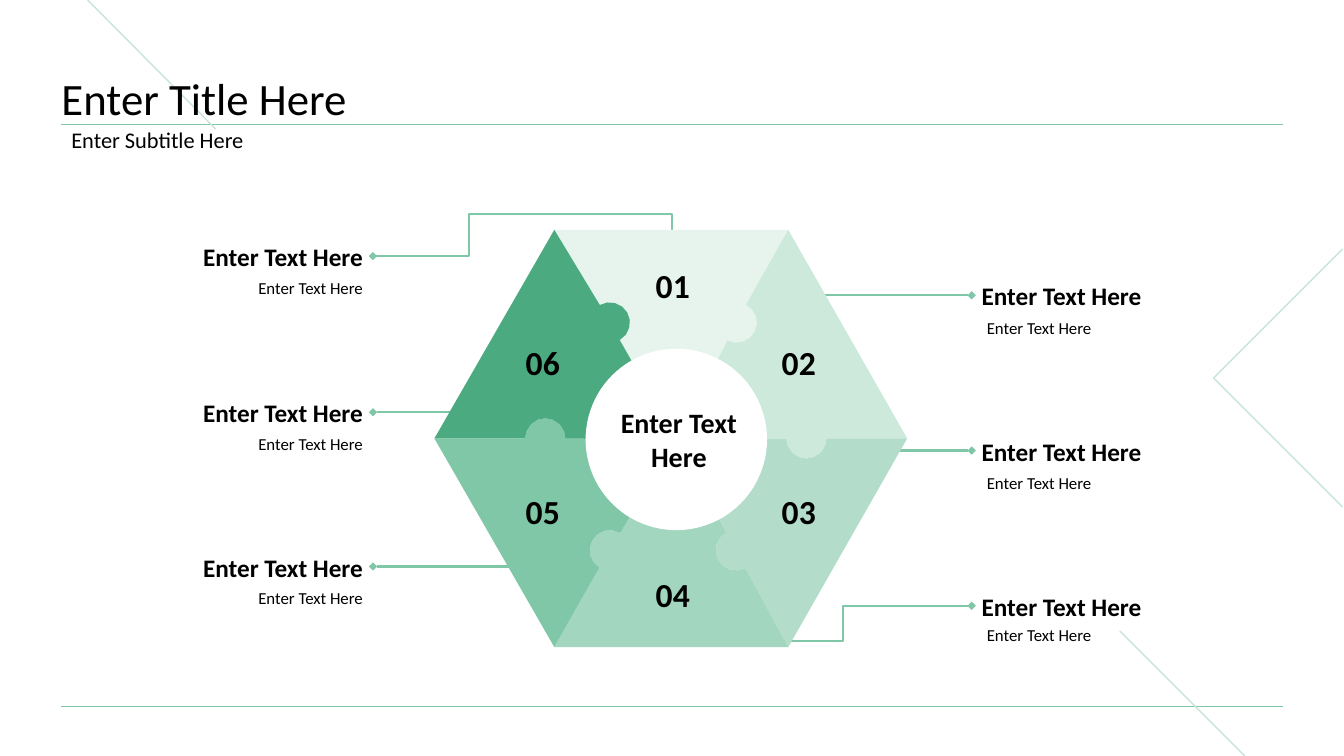
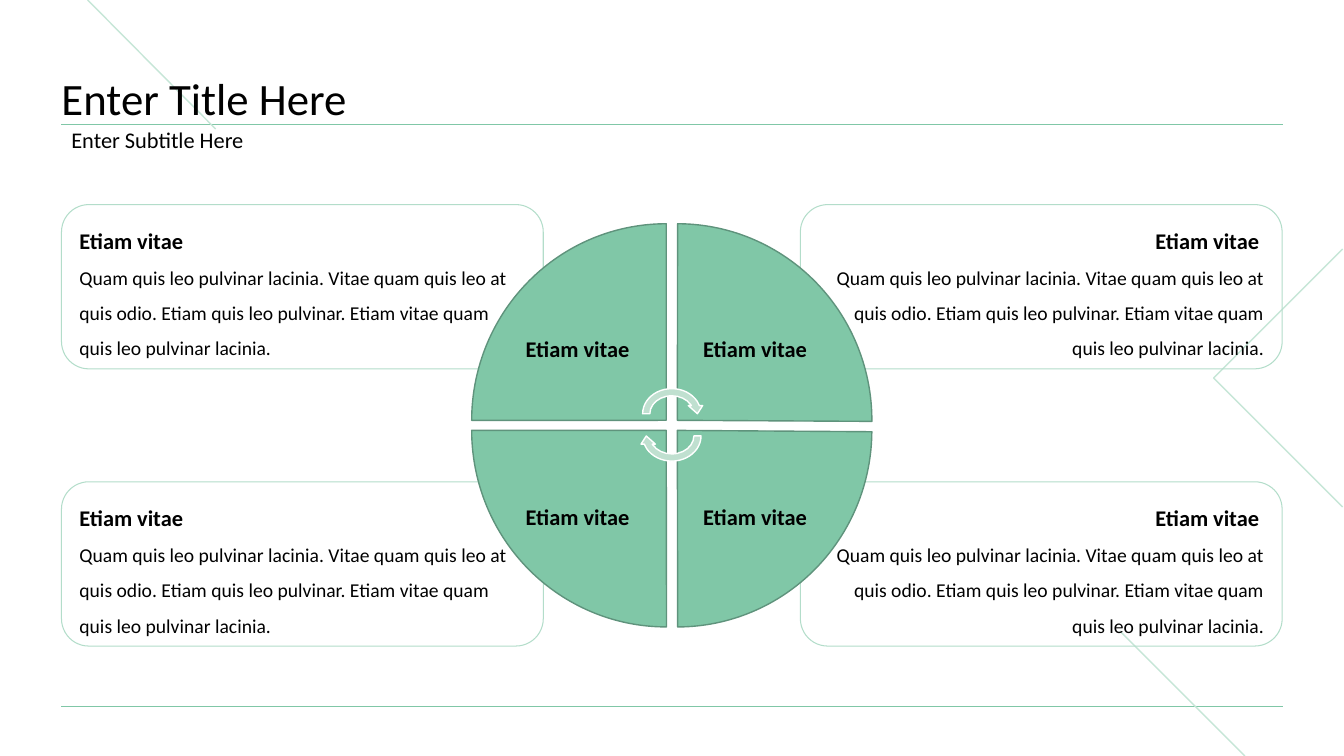
from dataclasses import dataclass
from math import atan2, cos, pi, sin

from lxml import etree
from pptx import Presentation
from pptx.dml.color import RGBColor
from pptx.enum.shapes import MSO_CONNECTOR, MSO_SHAPE
from pptx.enum.text import MSO_ANCHOR, MSO_AUTO_SIZE, PP_ALIGN
from pptx.oxml.ns import qn
from pptx.util import Inches, Pt

STRAIGHT, ELBOW = MSO_CONNECTOR.STRAIGHT, MSO_CONNECTOR.ELBOW
OVAL, ROUND_RECT = MSO_SHAPE.OVAL, MSO_SHAPE.ROUNDED_RECTANGLE
PIE, CIRCULAR_ARROW = MSO_SHAPE.PIE, MSO_SHAPE.CIRCULAR_ARROW
TOP, MIDDLE, BOTTOM = MSO_ANCHOR.TOP, MSO_ANCHOR.MIDDLE, MSO_ANCHOR.BOTTOM
LEFT, CENTER, RIGHT = PP_ALIGN.LEFT, PP_ALIGN.CENTER, PP_ALIGN.RIGHT

FONT = "Calibri"
COLORS = {
    "text": "000000",
    "white": "FFFFFF",
    "accent": "80C7A7",
    "decor": "C6E6D7",
    "card_line": "B3DDCA",
    "pie_line": "5F937C",
    "arrow": "C0E0D0",
}
TITLE, SUBTITLE, LABEL = "Enter Title Here", "Enter Subtitle Here", "Enter Text Here"
CARD_HEAD = "Etiam vitae"
CARD_BODY = ("Quam quis leo pulvinar lacinia. Vitae quam quis leo at quis odio. "
             "Etiam quis leo pulvinar. Etiam vitae quam quis leo pulvinar lacinia.")
MARGIN, CONTENT_W = 0.61, 12.12

Point = tuple[float, float]


@dataclass
class Piece:
    """Puzzle piece, from its first hexagon corner clockwise to the next one.

    The knob is the one on the seam at the first corner.
    """
    number: str
    color: str
    corner: Point
    knob: Point
    number_at: Point


@dataclass
class Callout:
    on_left: bool
    top: float
    body_top: float
    line_end: float | None = None


@dataclass
class BentLine:
    """Four-part connector, given by its box before rotation."""
    x: float
    y: float
    rotation: int
    flip: bool
    bends: Point


@dataclass
class Quarter:
    x: float
    y: float
    start: float
    end: float


PIECES = [
    Piece("01", "E6F4ED", (5.5, 2.28), (6.05, 3.2), (6.26, 2.66)),
    Piece("02", "CCE9DC", (7.82, 2.28), (7.31, 3.2), (7.51, 3.42)),
    Piece("03", "B3DDCA", (9, 4.35), (8, 4.35), (7.51, 4.9)),
    Piece("04", "A2D6BE", (7.82, 6.42), (7.3, 5.46), (6.26, 5.72)),
    Piece("05", "80C7A7", (5.5, 6.42), (6.05, 5.46), (4.97, 4.9)),
    Piece("06", "4BAA7F", (4.31, 4.35), (5.41, 4.35), (4.97, 3.42)),
]
HUB, HUB_R = (6.71, 4.36), 0.9
KNOB_R, ARC_STEPS = 0.2, 8

CALLOUTS = [
    Callout(True, 2.41, 2.66),
    Callout(True, 3.96, 4.2, 4.78),
    Callout(True, 5.49, 5.73, 5.28),
    Callout(False, 2.8, 3.05, 7.96),
    Callout(False, 4.34, 4.59, 8.66),
    Callout(False, 5.88, 6.1),
]
BENT_W, BENT_H = 0.05, 2.97
BENT_LINES = [
    BentLine(5.16, 1.08, 90, True, (9.4, 0.68)),
    BentLine(8.13, 4.55, 270, False, (-6, 0.57)),
]

# Pie angles are in units of 100000/60000 degree.
QUARTERS = [
    Quarter(4.68, 2.22, 107.99, 162),
    Quarter(4.68, 2.32, 53.95, 108),
    Quarter(4.79, 2.22, 162.05, 0.19),
    Quarter(4.79, 2.32, 0.24, 53.93),
]


def rgb(color: str) -> RGBColor:
    return RGBColor.from_string(COLORS.get(color, color))


def style(sp, fill: str | None = None, line: str | None = None, width: float = 1) -> None:
    sp.shadow.inherit = False
    if fill:
        sp.fill.solid()
        sp.fill.fore_color.rgb = rgb(fill)
    else:
        sp.fill.background()
    if line:
        sp.line.color.rgb = rgb(line)
        sp.line.width = Pt(width)
    else:
        sp.line.fill.background()


def add_shape(s, kind, x: float, y: float, w: float, h: float,
              fill: str | None = None, line: str | None = None, width: float = 1):
    sp = s.shapes.add_shape(kind, Inches(x), Inches(y), Inches(w), Inches(h))
    style(sp, fill, line, width)
    return sp


def add_outline(s, points: list[Point], closed: bool = True):
    emu = [(Inches(x), Inches(y)) for x, y in points]
    builder = s.shapes.build_freeform(*emu[0])
    builder.add_line_segments(emu[1:], close=closed)
    return builder.convert_to_shape()


def add_line(s, start: Point, end: Point, color: str, width: float,
             diamond: str | None = None, kind=STRAIGHT):
    """Draw a connector; diamond names the end (headEnd or tailEnd) that has one."""
    c = s.shapes.add_connector(kind, *(Inches(v) for v in (*start, *end)))
    c.line.color.rgb = rgb(color)
    c.line.width = Pt(width)
    spPr = c.element.spPr
    if diamond:
        etree.SubElement(spPr.find(qn("a:ln")), qn(f"a:{diamond}"), type="diamond")
    etree.SubElement(spPr, qn("a:effectLst"))
    return c


def add_bent_line(s, b: BentLine) -> None:
    c = add_line(s, (b.x, b.y), (b.x + BENT_W, b.y + BENT_H), "accent", 1.5, "tailEnd", ELBOW)
    spPr = c.element.spPr
    xfrm = spPr.find(qn("a:xfrm"))
    xfrm.set("rot", str(b.rotation * 60000))
    if b.flip:
        xfrm.set("flipH", "1")
    geometry = spPr.find(qn("a:prstGeom"))
    geometry.set("prst", "bentConnector4")
    for i, bend in enumerate(b.bends, 1):
        etree.SubElement(geometry.find(qn("a:avLst")), qn("a:gd"),
                         name=f"adj{i}", fmla=f"val {round(bend * 100000)}")


def set_text(tf, lines: list[tuple[str, float, bool]], align=LEFT, anchor=MIDDLE,
             spacing: float = 1) -> None:
    """Fill a text frame with (text, size, bold) paragraphs."""
    tf.word_wrap = True
    tf.auto_size = MSO_AUTO_SIZE.NONE
    tf.vertical_anchor = anchor
    for i, (text, size, bold) in enumerate(lines):
        p = tf.add_paragraph() if i else tf.paragraphs[0]
        p.text = text
        p.alignment = align
        p.line_spacing = spacing
        p.font.name = FONT
        p.font.size = Pt(size)
        p.font.bold = bold
        p.font.color.rgb = rgb("text")


def add_text(s, text: str, x: float, y: float, w: float, h: float, size: float,
             bold: bool = False, align=LEFT, anchor=MIDDLE, spacing: float = 1,
             inset: float = 0.1, inset_y: float = 0.1) -> None:
    tf = s.shapes.add_textbox(Inches(x), Inches(y), Inches(w), Inches(h)).text_frame
    tf.margin_left = Inches(inset)
    tf.margin_top = tf.margin_bottom = Inches(inset_y)
    set_text(tf, [(text, size, bold)], align, anchor, spacing)


def new_slide(prs):
    """Add a slide with the shared lines, title and subtitle."""
    s = prs.slides.add_slide(prs.slide_layouts[5])
    for y in (7.01, 1.23):
        add_line(s, (MARGIN, y), (MARGIN + CONTENT_W, y), "accent", 0.5)
    add_line(s, (11.11, 6.26), (12.35, 7.5), "decor", 1)
    add_line(s, (0.87, 0), (2.14, 1.28), "decor", 1)
    style(add_outline(s, [(13.32, 2.47), (12.04, 3.75), (13.32, 5.03)], False), line="decor")

    title = s.shapes.title
    title.left, title.top = Inches(MARGIN), Inches(0.44)
    title.width, title.height = Inches(CONTENT_W), Inches(0.8)
    tf = title.text_frame
    tf.margin_left = tf.margin_right = tf.margin_top = tf.margin_bottom = 0
    set_text(tf, [(TITLE, 32, False)], anchor=BOTTOM, spacing=0.9)
    title.element.getparent().append(title.element)  # text above the lines
    add_text(s, SUBTITLE, MARGIN, 1.23, CONTENT_W, 0.34, 16, spacing=0.9, inset_y=0.05)
    return s


def polar(center: Point, radius: float, angle: float) -> Point:
    return center[0] + radius * cos(angle), center[1] + radius * sin(angle)


def seam(piece: Piece) -> list[Point]:
    """Trace a seam from a corner to the hub, round the knob's clockwise side."""
    angle = atan2(piece.knob[1] - HUB[1], piece.knob[0] - HUB[0])
    arc = [polar(piece.knob, KNOB_R, angle + pi * i / ARC_STEPS) for i in range(ARC_STEPS + 1)]
    return [piece.corner, *arc, polar(HUB, HUB_R, angle)]


def add_callout(s, c: Callout) -> None:
    x, edge, align, inset = (1.43, 3.7, RIGHT, 0.1) if c.on_left else (9.64, 9.64, LEFT, 0.15)
    add_text(s, LABEL, x, c.body_top, 2.27, 0.72, 12, align=align, anchor=TOP, inset=inset)
    add_text(s, LABEL, x, c.top, 2.27, 0.27, 18, True, align)
    if c.line_end:
        y = c.top + 0.13
        add_line(s, (edge, y), (c.line_end, y), "accent", 1.5, "headEnd")


def build_puzzle(prs) -> None:
    s = new_slide(prs)
    for callout in CALLOUTS:
        add_callout(s, callout)
    for bent_line in BENT_LINES:
        add_bent_line(s, bent_line)
    for piece, following in zip(PIECES, PIECES[1:] + PIECES[:1]):
        style(add_outline(s, seam(following) + seam(piece)[::-1]), piece.color)
        add_text(s, piece.number, *piece.number_at, 0.83, 0.34, 24, True, CENTER)
    add_shape(s, OVAL, HUB[0] - HUB_R, HUB[1] - HUB_R, 2 * HUB_R, 2 * HUB_R, "white")
    add_text(s, LABEL, 5.87, 4, 1.73, 0.72, 20, True, CENTER)


def build_cycle(prs) -> None:
    s = new_slide(prs)
    for x, align, head in ((MARGIN, LEFT, CARD_HEAD), (7.94, RIGHT, CARD_HEAD + " ")):
        for y in (2.03, 4.78):
            card = add_shape(s, ROUND_RECT, x, y, 4.78, 1.63, line="card_line", width=0.75)
            set_text(card.text_frame, [(head, 16, True), (CARD_BODY, 14, False)],
                     align, spacing=1.5)
    for q in QUARTERS:
        pie = add_shape(s, PIE, q.x, q.y, 3.86, 3.9, "accent", "pie_line")
        pie.adjustments[0], pie.adjustments[1] = q.start, q.end
    for y, rotation in ((3.82, 0), (4.04, 180)):
        arrow = add_shape(s, CIRCULAR_ARROW, 6.34, y, 0.65, 0.57, "arrow", "white")
        arrow.rotation = rotation
    for x, align in ((5.07, CENTER), (6.81, RIGHT)):
        for y in (3.12, 4.78):
            label = add_shape(s, ROUND_RECT, x, y, 1.32, 0.53)
            set_text(label.text_frame, [(CARD_HEAD + " ", 16, True)], align, TOP, 1.5)


def main() -> None:
    prs = Presentation()
    prs.slide_width, prs.slide_height = Inches(40 / 3), Inches(7.5)
    build_puzzle(prs)
    build_cycle(prs)
    prs.save("out.pptx")


if __name__ == "__main__":
    main()
